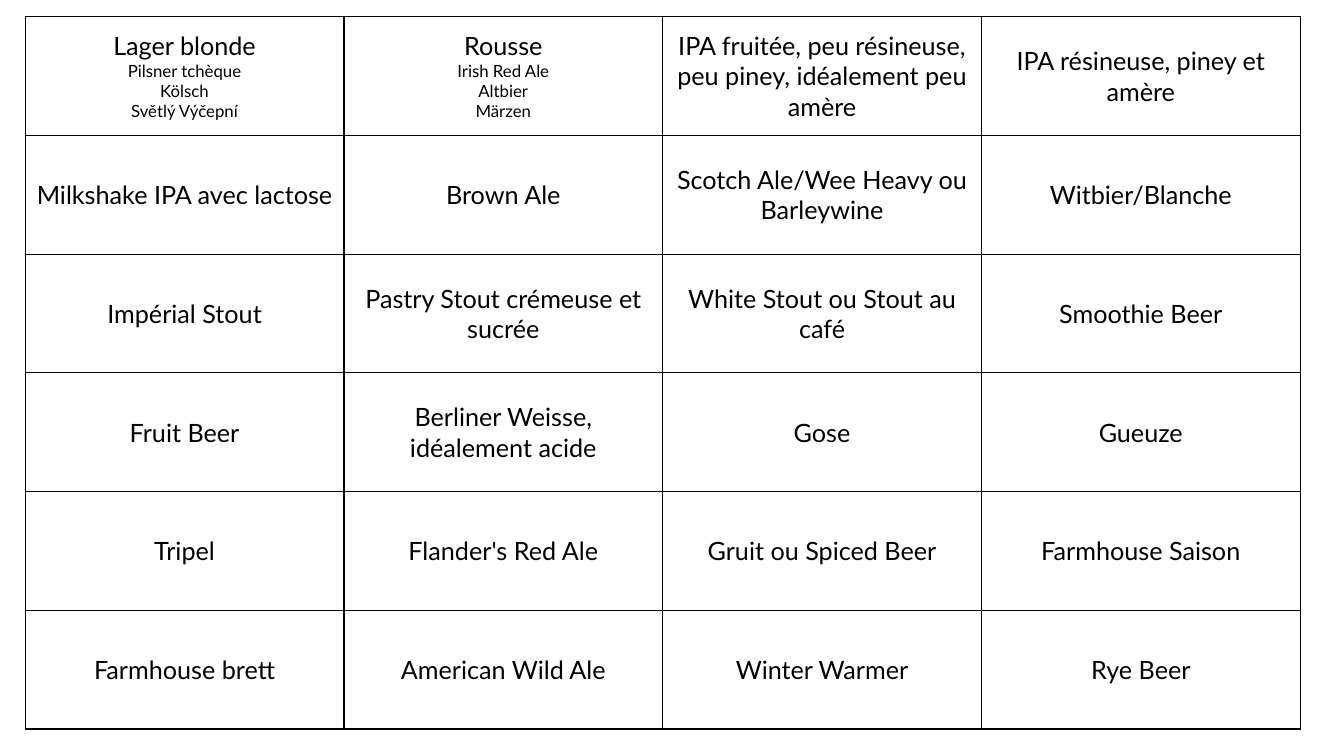
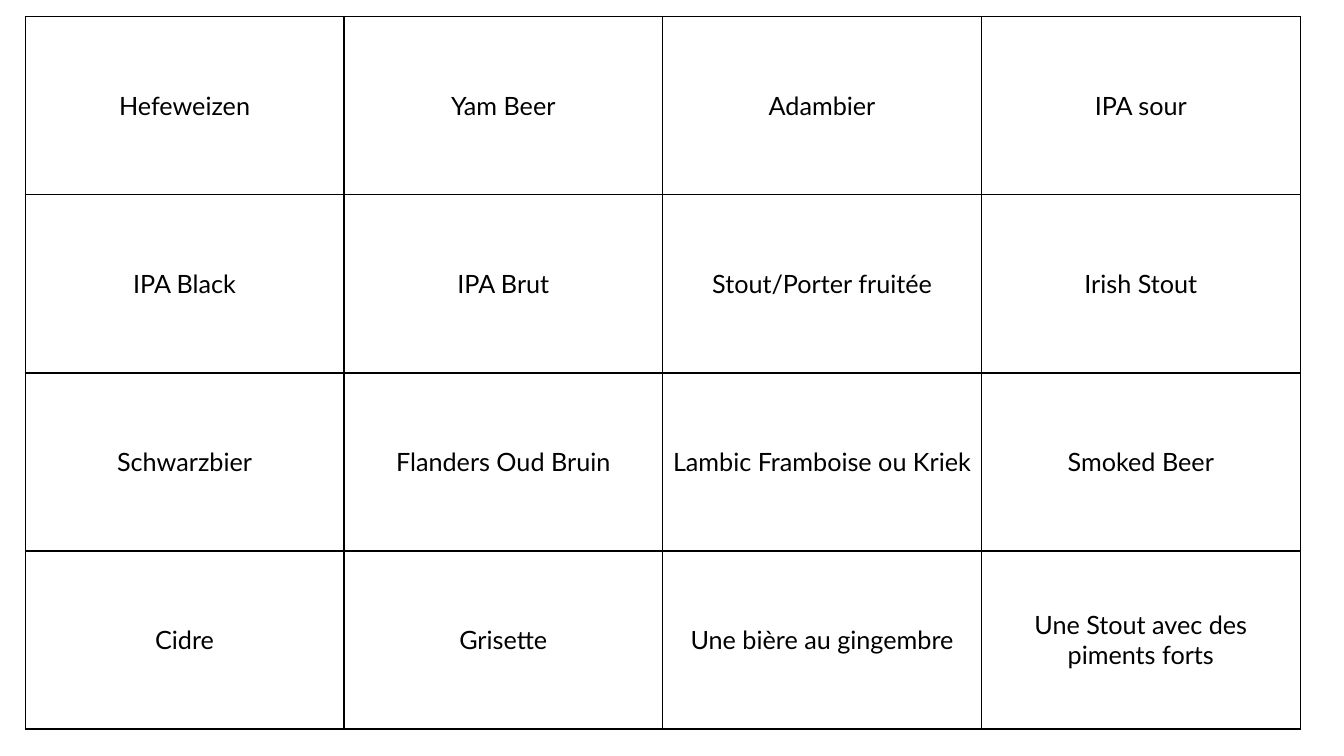
import pptx
import pptx.util
import pptx.dml.color
import pptx.enum.text
import pptx.oxml.ns
import lxml.etree

Pt = pptx.util.Pt
RGB = pptx.dml.color.RGBColor.from_string
qn = pptx.oxml.ns.qn

COLORS = {"text": "000000", "border": "000000", "cell": "FFFFFF"}
FONT = "Lato"
STYLE_SIZE, EXAMPLE_SIZE = 18, 12
GRID_BOX = (18, 12, 910.8, 508.8)  # left, top, width, height

# Each line after the first in a cell is an example of the style
CLASSIC_STYLES = [
    ["Lager blonde\nPilsner tchèque\nKölsch\nSvětlý Výčepní",
     "Rousse\nIrish Red Ale\nAltbier\nMärzen",
     "IPA fruitée, peu résineuse, peu piney, idéalement peu amère",
     "IPA résineuse, piney et amère"],
    ["Milkshake IPA avec lactose", "Brown Ale",
     "Scotch Ale/Wee Heavy ou Barleywine", "Witbier/Blanche"],
    ["Impérial Stout", "Pastry Stout crémeuse et sucrée",
     "White Stout ou Stout au café", "Smoothie Beer"],
    ["Fruit Beer", "Berliner Weisse, idéalement acide", "Gose", "Gueuze"],
    ["Tripel", "Flander's Red Ale", "Gruit ou Spiced Beer", "Farmhouse Saison"],
    ["Farmhouse brett", "American Wild Ale", "Winter Warmer", "Rye Beer"],
]
SPECIAL_STYLES = [
    ["Hefeweizen", "Yam Beer", "Adambier", "IPA sour"],
    ["IPA Black", "IPA Brut", "Stout/Porter fruitée", "Irish Stout"],
    ["Schwarzbier", "Flanders Oud Bruin", "Lambic Framboise ou Kriek", "Smoked Beer"],
    ["Cidre", "Grisette", "Une bière au gingembre", "Une Stout avec des piments forts"],
]


def set_borders(cell):
    tc_pr = cell._tc.get_or_add_tcPr()
    for side in ("a:lnL", "a:lnR", "a:lnT", "a:lnB"):
        ln = lxml.etree.SubElement(tc_pr, qn(side), w=str(Pt(1)))
        fill = lxml.etree.SubElement(ln, qn("a:solidFill"))
        lxml.etree.SubElement(fill, qn("a:srgbClr"), val=COLORS["border"])


def fill_cell(cell, text):
    set_borders(cell)
    cell.fill.solid()
    cell.fill.fore_color.rgb = RGB(COLORS["cell"])
    cell.vertical_anchor = pptx.enum.text.MSO_ANCHOR.MIDDLE
    cell.text = text
    for i, p in enumerate(cell.text_frame.paragraphs):
        p.alignment = pptx.enum.text.PP_ALIGN.CENTER
        p.font.name = FONT
        p.font.size = Pt(EXAMPLE_SIZE if i else STYLE_SIZE)
        p.font.color.rgb = RGB(COLORS["text"])


def add_style_grid(prs, styles, box):
    """Slide with one table of equal cells filling the box."""
    s = prs.slides.add_slide(prs.slide_layouts[6])
    left, top, width, height = box
    n_rows, n_cols = len(styles), len(styles[0])
    table = s.shapes.add_table(n_rows, n_cols, Pt(left), Pt(top),
                               Pt(width), Pt(height)).table
    table.first_row = table.horz_banding = False
    for col in table.columns:
        col.width = Pt(width / n_cols)
    for row, texts in zip(table.rows, styles):
        row.height = Pt(height / n_rows)
        for cell, text in zip(row.cells, texts):
            fill_cell(cell, text)


def main():
    prs = pptx.Presentation()
    prs.slide_width, prs.slide_height = Pt(960), Pt(540)
    for styles in (CLASSIC_STYLES, SPECIAL_STYLES):
        add_style_grid(prs, styles, GRID_BOX)
    prs.save("out.pptx")


if __name__ == "__main__":
    main()
